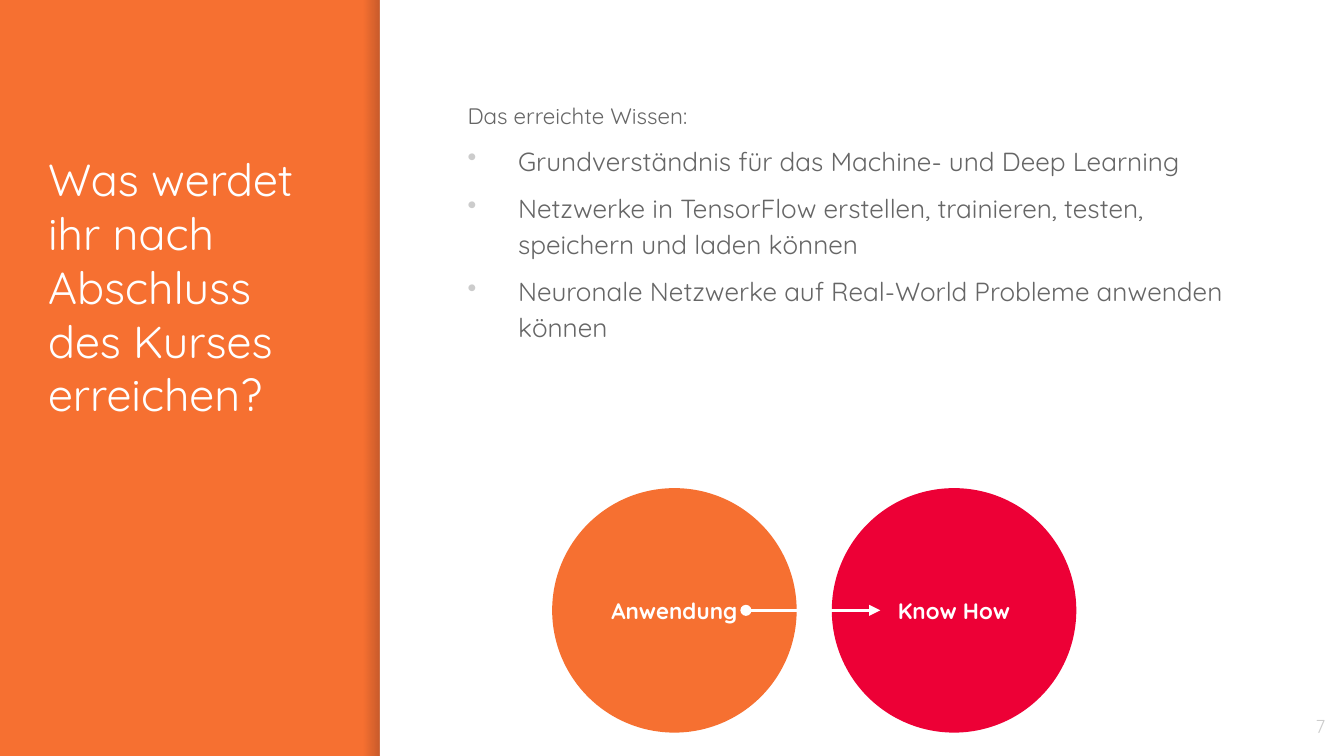
from lxml import etree
from pptx import Presentation
from pptx.dml.color import RGBColor
from pptx.enum.shapes import MSO_CONNECTOR, MSO_SHAPE
from pptx.enum.text import MSO_ANCHOR, PP_ALIGN
from pptx.oxml.ns import qn
from pptx.util import Pt

RECTANGLE, OVAL = MSO_SHAPE.RECTANGLE, MSO_SHAPE.OVAL
STRAIGHT = MSO_CONNECTOR.STRAIGHT
TOP, MIDDLE = MSO_ANCHOR.TOP, MSO_ANCHOR.MIDDLE
LEFT, CENTER, RIGHT = PP_ALIGN.LEFT, PP_ALIGN.CENTER, PP_ALIGN.RIGHT

WIDTH, HEIGHT = 720, 405
SIDEBAR_WIDTH = 203.5
INSET = 7.2
BULLET_INDENT = 27
FONT = "Quicksand"
COLORS = {
    "orange": "F67031",
    "red": "ED0036",
    "white": "FFFFFF",
    "text": "666666",
    "muted": "CCCCCC",
    "shade": "000014",
}


def rgb(name):
    return RGBColor.from_string(COLORS[name])


def add_xml(parent, tag, **attributes):
    return etree.SubElement(parent, qn(tag), attributes)


def write(paragraph, text, size=12, color="text", bold=False, align=LEFT,
          line_spacing=None, before=None, bullet=False):
    paragraph.alignment = align
    paragraph.line_spacing = line_spacing
    if before is not None:
        paragraph.space_before = Pt(before)
    if bullet:
        properties = paragraph._p.get_or_add_pPr()
        properties.set("marL", str(Pt(BULLET_INDENT)))
        properties.set("indent", str(-Pt(BULLET_INDENT)))
        add_xml(add_xml(properties, "a:buClr"), "a:srgbClr", val=COLORS["muted"])
        add_xml(properties, "a:buChar", char="•")
    run = paragraph.add_run()
    run.text = text
    run.font.name = FONT
    run.font.size = Pt(size)
    run.font.bold = bold
    run.font.color.rgb = rgb(color)


class SlideBuilder:
    def __init__(self, slide):
        self.slide = slide

    def background(self, color):
        fill = self.slide.background.fill
        fill.solid()
        fill.fore_color.rgb = rgb(color)

    def shape(self, kind, left, top, width, height, color):
        shape = self.slide.shapes.add_shape(
            kind, Pt(left), Pt(top), Pt(width), Pt(height))
        shape.shadow.inherit = False
        shape.line.fill.background()
        shape.fill.solid()
        shape.fill.fore_color.rgb = rgb(color)
        return shape

    def edge_shade(self, left, top, width, height, color, opacities):
        shade = self.shape(RECTANGLE, left, top, width, height, color)
        shade.fill.gradient()
        shade.fill.gradient_angle = 0
        for stop in shade.fill.gradient_stops:
            stop.color.rgb = rgb(color)
        stop_colors = shade._element.spPr.iter(qn("a:srgbClr"))
        for stop_color, opacity in zip(stop_colors, opacities):
            add_xml(stop_color, "a:alpha", val=str(opacity * 1000))

    def frame(self, shape, anchor, top_inset=INSET):
        frame = shape.text_frame
        frame.word_wrap = True
        frame.vertical_anchor = anchor
        frame.margin_left = frame.margin_right = frame.margin_bottom = Pt(INSET)
        frame.margin_top = Pt(top_inset)
        return frame

    def text_box(self, left, top, width, height, anchor=TOP, top_inset=INSET):
        box = self.slide.shapes.add_textbox(
            Pt(left), Pt(top), Pt(width), Pt(height))
        return self.frame(box, anchor, top_inset)

    def circle(self, left, top, diameter, color, label):
        circle = self.shape(OVAL, left, top, diameter, diameter, color)
        write(self.frame(circle, MIDDLE).paragraphs[0], label,
              color="white", bold=True, align=CENTER)

    def arrow(self, start, end, y, color, weight):
        arrow = self.slide.shapes.add_connector(
            STRAIGHT, Pt(start), Pt(y), Pt(end), Pt(y))
        arrow.line.color.rgb = rgb(color)
        arrow.line.width = Pt(weight)
        line = arrow.line._get_or_add_ln()
        add_xml(line, "a:headEnd", type="oval")
        add_xml(line, "a:tailEnd", type="triangle")
        add_xml(arrow._element.spPr, "a:effectLst")


def main():
    presentation = Presentation()
    presentation.slide_width = Pt(WIDTH)
    presentation.slide_height = Pt(HEIGHT)
    builder = SlideBuilder(
        presentation.slides.add_slide(presentation.slide_layouts[6]))

    builder.background("orange")
    shade_width = 9
    builder.edge_shade(SIDEBAR_WIDTH - shade_width, 0, shade_width, HEIGHT,
                       "shade", (0, 20))
    builder.shape(RECTANGLE, SIDEBAR_WIDTH, 0, WIDTH - SIDEBAR_WIDTH, HEIGHT,
                  "white")

    title = builder.text_box(18.7, 45.4, 161.3, 313.2, top_inset=36)
    write(title.paragraphs[0],
          "Was werdet ihr nach Abschluss des Kurses erreichen?",
          size=24, color="white")

    knowledge = builder.text_box(243.4, 45.4, 440.6, 217.4)
    write(knowledge.paragraphs[0], "Das erreichte Wissen:",
          line_spacing=1.15, before=6)
    for goal in (
        "Grundverständnis für das Machine- und Deep Learning",
        "Netzwerke in TensorFlow erstellen, trainieren, testen, "
        "speichern und laden können",
        "Neuronale Netzwerke auf Real-World Probleme anwenden können",
    ):
        write(knowledge.add_paragraph(), goal, size=14,
              line_spacing=1.15, before=6, bullet=True)

    page_number = builder.text_box(673.9, 373.7, 43.2, 31, anchor=MIDDLE)
    write(page_number.paragraphs[0], "7", size=10, color="muted", align=RIGHT)

    circle_top, diameter, circle_step = 261.5, 131, 149.8
    steps = (("Anwendung", "orange"), ("Know How", "red"))
    for index, (label, color) in enumerate(steps):
        builder.circle(295.8 + index * circle_step, circle_top, diameter,
                       color, label)
    builder.arrow(399.6, 471.6, circle_top + diameter / 2, "white", 1.5)

    presentation.save("out.pptx")


if __name__ == "__main__":
    main()
